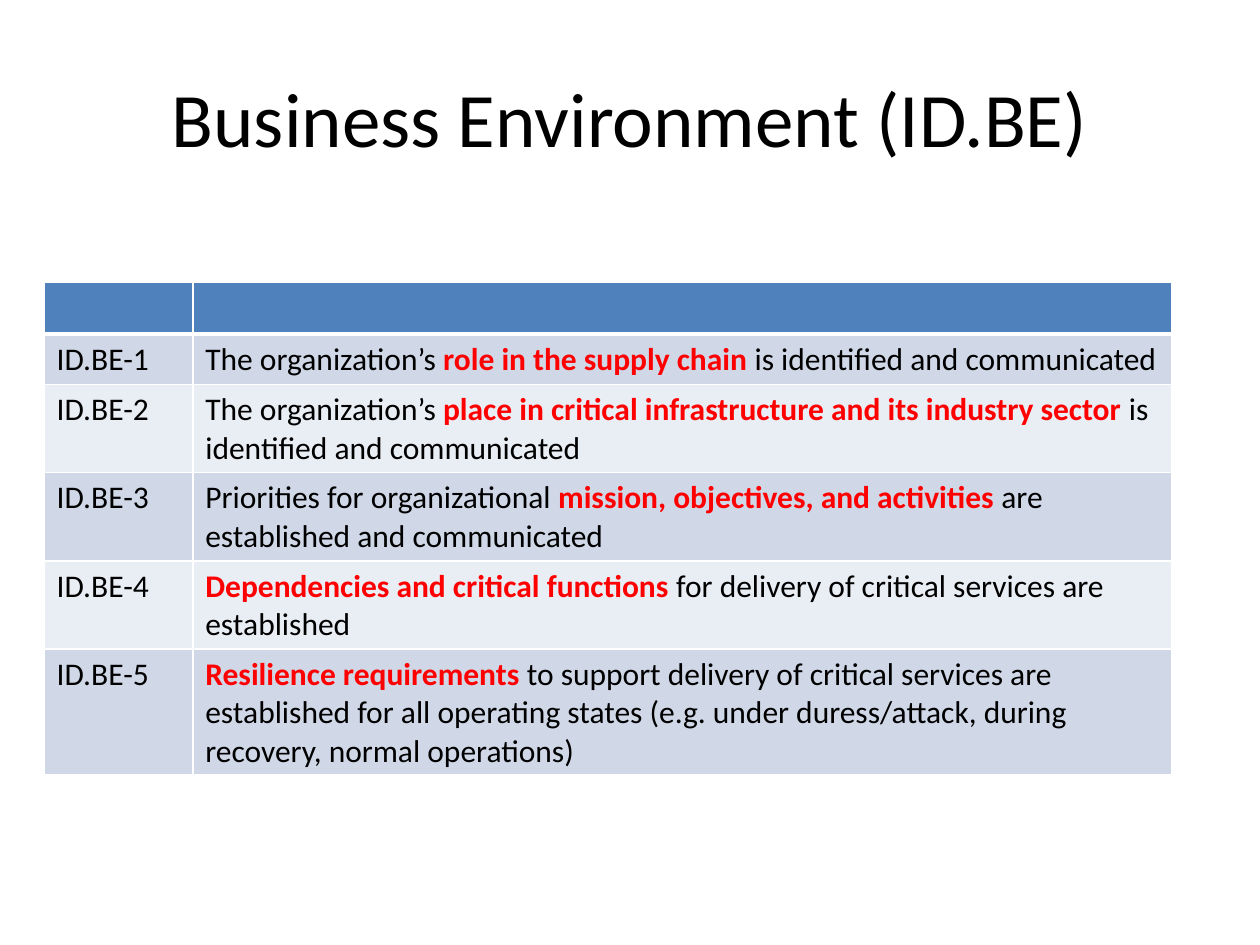
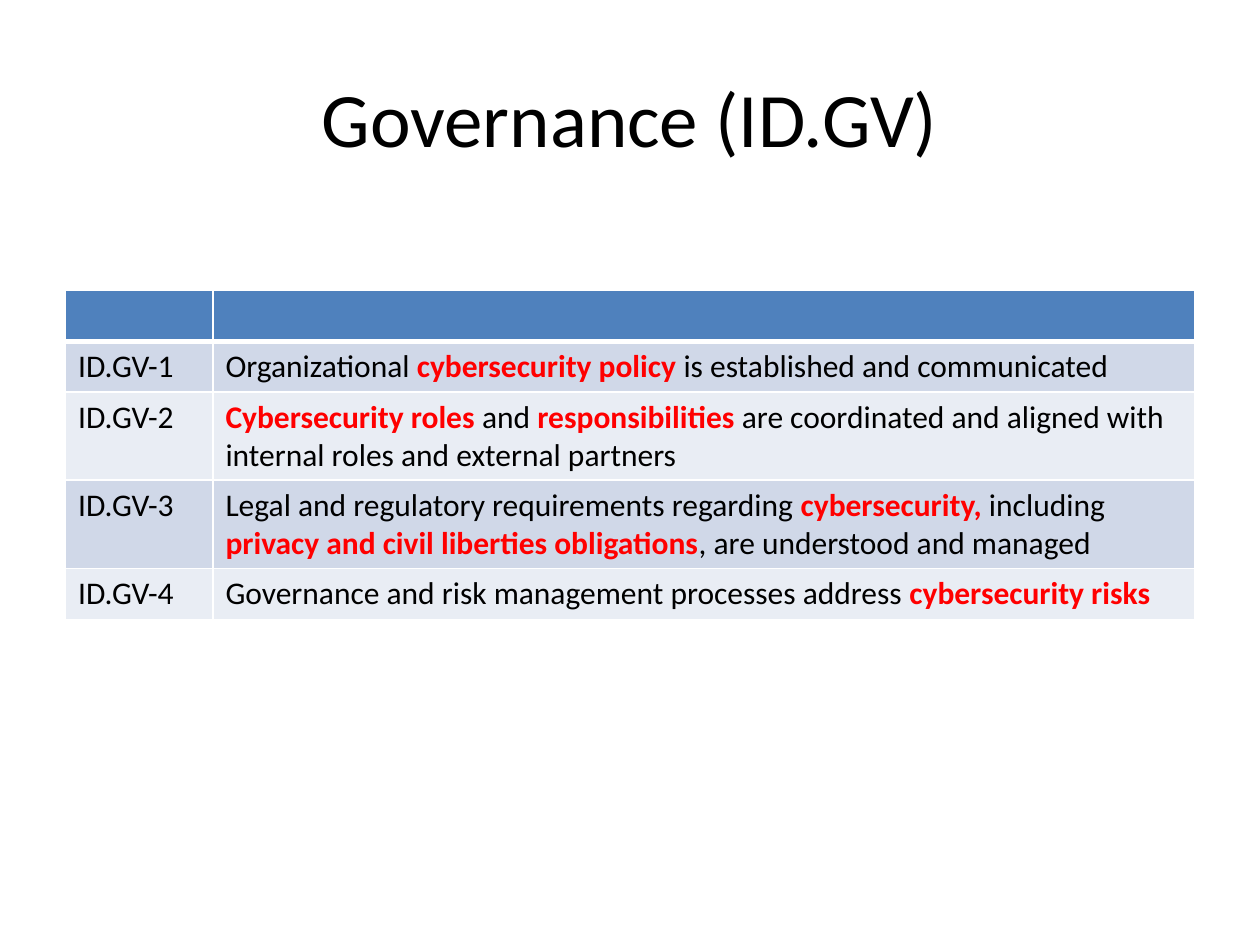
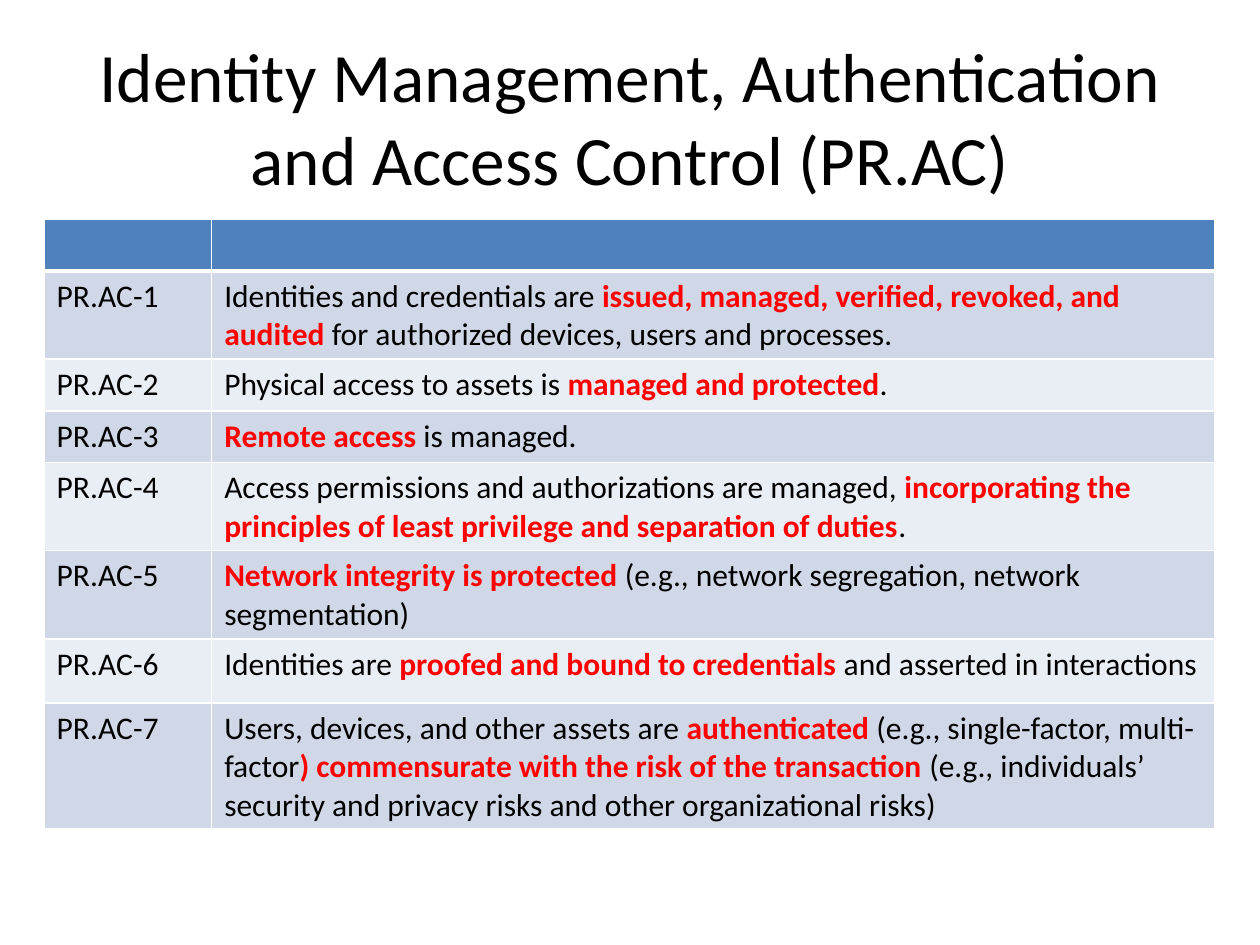
from lxml.etree import SubElement
from pptx import Presentation
from pptx.dml.color import RGBColor
from pptx.enum.text import MSO_ANCHOR, PP_ALIGN
from pptx.oxml.ns import qn
from pptx.util import Inches, Pt

FONT = "Calibri"
BLACK = RGBColor(0x00, 0x00, 0x00)
WHITE = RGBColor(0xFF, 0xFF, 0xFF)
RED = RGBColor(0xFF, 0x00, 0x00)
HEADER = RGBColor(0x4F, 0x81, 0xBD)
BANDS = (RGBColor(0xD0, 0xD8, 0xE8), RGBColor(0xE9, 0xED, 0xF4))
TITLE_BOX = (0.5, 0.3, 9, 1.25)
ROW_HEIGHT = 0.41
RULE, HEADER_RULE = 1, 3

BUSINESS = [
    "The organization’s *role in the supply chain *is identified and communicated",
    "The organization’s *place in critical infrastructure and its industry sector *"
    "is identified and communicated",
    "Priorities for organizational *mission, objectives, and activities *"
    "are established and communicated",
    "*Dependencies and critical functions *for delivery of critical services are established",
    "*Resilience requirements *to support delivery of critical services are established "
    "for all operating states (e.g. under duress/attack, during recovery, normal operations)",
]
GOVERNANCE = [
    "Organizational *cybersecurity policy *is established and communicated",
    "*Cybersecurity roles *and *responsibilities *are coordinated and aligned with "
    "internal roles and external partners",
    "Legal and regulatory requirements regarding *cybersecurity,* including "
    "*privacy and civil liberties obligations*, are understood and managed",
    "Governance and risk management processes address *cybersecurity risks*",
]
ACCESS = [
    "Identities and credentials are *issued, managed, verified, revoked, and audited* "
    "for authorized devices, users and processes.",
    "Physical access to assets is *managed and protected*.",
    "*Remote access* is managed.",
    "Access permissions and authorizations are managed, *incorporating the principles "
    "of least privilege and separation of duties*.",
    "*Network integrity is protected* (e.g., network segregation, network segmentation)",
    "Identities are *proofed and bound to credentials *and asserted in interactions",
    "Users, devices, and other assets are *authenticated* (e.g., single-factor, multi-factor"
    "*) commensurate with the risk of the transaction *(e.g., individuals’ security and "
    "privacy risks and other organizational risks)",
]


def add_run(p, text, size, color=BLACK, bold=False):
    """Append one styled run to a paragraph."""
    r = p.add_run()
    r.text = text
    r.font.name = FONT
    r.font.size = Pt(size)
    r.font.bold = bold
    r.font.color.rgb = color


def add_marked_text(p, text, size):
    """Write text whose parts between asterisks are bold and red."""
    for i, part in enumerate(text.split("*")):
        if part:
            emphasis = i % 2 == 1
            add_run(p, part, size, RED if emphasis else BLACK, emphasis)


def add_title(s, box, text, size):
    """Place a centred slide title in the box."""
    tf = s.shapes.add_textbox(*map(Inches, box)).text_frame
    tf.word_wrap = True
    tf.vertical_anchor = MSO_ANCHOR.MIDDLE
    p = tf.paragraphs[0]
    p.alignment = PP_ALIGN.CENTER
    add_run(p, text, size)


def style_cell(cell, fill, top, bottom):
    """Give a cell its fill and white borders."""
    tc_pr = cell._tc.get_or_add_tcPr()
    for side, width in zip("LRTB", (RULE, RULE, top, bottom)):
        ln = SubElement(tc_pr, qn(f"a:ln{side}"), w=str(Pt(width)))
        color = SubElement(SubElement(ln, qn("a:solidFill")), qn("a:srgbClr"))
        color.set("val", str(WHITE))
    cell.fill.solid()
    cell.fill.fore_color.rgb = fill


def add_control_table(s, box, code_width, prefix, controls, heights):
    """Place a banded table of numbered controls under an empty header row."""
    frame = s.shapes.add_table(len(controls) + 1, 2, *map(Inches, box))
    table = frame.table
    table.horz_banding = False
    table.columns[0].width = Inches(code_width)
    table.columns[1].width = Inches(box[2] - code_width)
    for i, row in enumerate(table.rows):
        row.height = Inches(heights.get(i, ROW_HEIGHT))
        fill = BANDS[(i - 1) % 2] if i else HEADER
        top = HEADER_RULE if i == 1 else RULE
        bottom = RULE if i else HEADER_RULE
        texts = (f"{prefix}-{i}", controls[i - 1]) if i else ("", "")
        for cell, text in zip(row.cells, texts):
            style_cell(cell, fill, top, bottom)
            add_marked_text(cell.text_frame.paragraphs[0], text, 18)
    frame.height = Inches(box[3])


def add_control_slide(prs, title, size, box, code_width, prefix, controls, heights):
    """Add a slide with a title and its table of controls."""
    s = prs.slides.add_slide(prs.slide_layouts[6])
    add_title(s, TITLE_BOX, title, size)
    add_control_table(s, box, code_width, prefix, controls, heights)


def main():
    """Build and save the presentation."""
    prs = Presentation()
    prs.slide_width, prs.slide_height = Inches(10), Inches(7.5)
    add_control_slide(prs, "Business Environment (ID.BE)", 44,
                      (0.35, 2.24, 8.95, 3.91), 1.18, "ID.BE", BUSINESS, {1: 0.24})
    add_control_slide(prs, "Governance (ID.GV)", 44,
                      (0.52, 2.3, 8.96, 2.61), 1.17, "ID.GV", GOVERNANCE, {1: 0.24})
    add_control_slide(prs, "Identity Management, Authentication and Access Control (PR.AC)", 39.6,
                      (0.35, 1.74, 9.29, 4.82), 1.33, "PR.AC", ACCESS, {6: 0.51})
    prs.save("out.pptx")


main()
